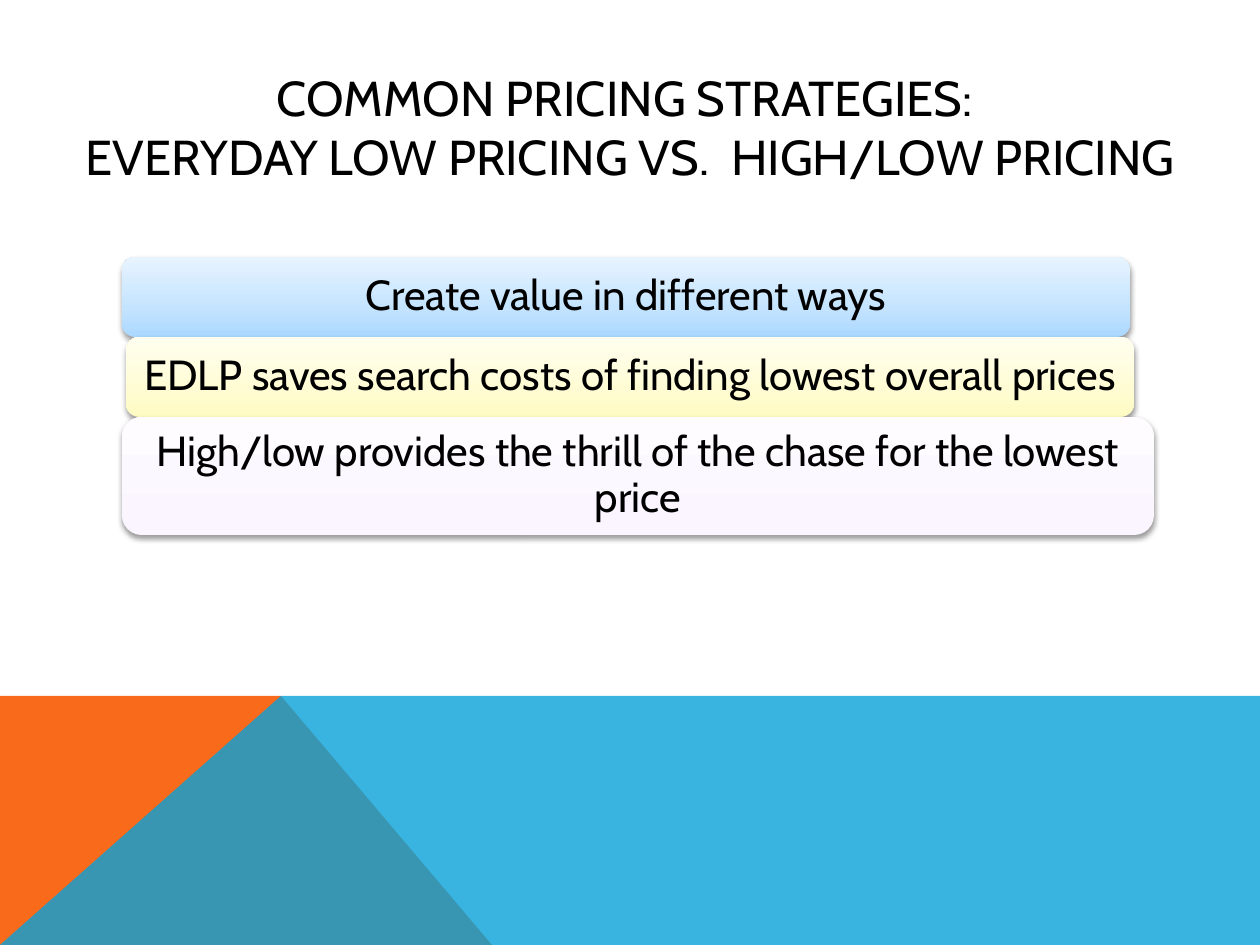
from dataclasses import dataclass

from lxml.etree import SubElement
from pptx import Presentation
from pptx.dml.color import RGBColor
from pptx.enum.shapes import MSO_SHAPE
from pptx.enum.text import MSO_ANCHOR, MSO_AUTO_SIZE, PP_ALIGN
from pptx.oxml import parse_xml
from pptx.oxml.ns import nsdecls, qn
from pptx.util import Emu, Pt

PX = 914400 / 126
SLIDE_WIDTH, SLIDE_HEIGHT = 1260, 945


@dataclass(frozen=True)
class Theme:
    font: str = "Cabin"
    title_size: int = 28
    point_size: int = 24
    ink: str = "000000"
    orange: str = "F96A1B"
    blue: str = "08A1D9"
    blue_opacity: int = 80
    # Gradient stops from the bottom of a bar to its top
    sky: tuple = ("ABD8FF", "C3E3FF", "E8F4FF")
    cream: tuple = ("FFFBC3", "FFFCD4", "FFFEEF")
    blush: tuple = ("FBF5FF", "FCF8FF", "FEFCFF")


THEME = Theme()

# text, left, width, height, gradient
POINTS = (
    ("Create value in different ways", 122, 1008, 80, THEME.sky),
    ("EDLP saves search costs of finding lowest overall prices",
     126, 1008, 80, THEME.cream),
    ("High/low provides the thrill of the chase for the lowest price",
     122, 1032, 118, THEME.blush),
)


def px(length):
    return Emu(round(length * PX))


def style_text(frame, size):
    frame.word_wrap = True
    frame.auto_size = MSO_AUTO_SIZE.NONE
    frame.vertical_anchor = MSO_ANCHOR.MIDDLE
    for paragraph in frame.paragraphs:
        paragraph.alignment = PP_ALIGN.CENTER
        for run in paragraph.runs:
            run.font.name = THEME.font
            run.font.size = Pt(size)
            run.font.color.rgb = RGBColor.from_string(THEME.ink)


def place_title(slide, left, top, width, height):
    title = slide.shapes.title
    title.left, title.top = px(left), px(top)
    title.width, title.height = px(width), px(height)
    # A vertical tab becomes a line break within the paragraph
    title.text_frame.text = (
        "COMMON PRICING STRATEGIES: \vEVERYDAY LOW PRICING VS.  HIGH/LOW PRICING"
    )
    style_text(title.text_frame, THEME.title_size)


def add_polygon(slide, points, color, opacity=100):
    builder = slide.shapes.build_freeform(*points[0], scale=PX)
    builder.add_line_segments(points[1:], close=True)
    polygon = builder.convert_to_shape()
    polygon.shadow.inherit = False
    polygon.line.fill.background()
    polygon.fill.solid()
    polygon.fill.fore_color.rgb = RGBColor.from_string(color)
    if opacity < 100:
        tone = polygon.fill._xPr.find(qn("a:solidFill"))[0]
        SubElement(tone, qn("a:alpha"), val=str(opacity * 1000))


def add_footer_band(slide, left, top, width, height):
    """Orange wedge under a translucent blue band that share one peak."""
    right, bottom = left + width, top + height
    peak = (left + 281, top)
    add_polygon(slide, [(left, bottom), (left, top), peak, (left + 492, bottom)],
                THEME.orange)
    add_polygon(slide, [(left, bottom), peak, (right, top), (right, bottom)],
                THEME.blue, THEME.blue_opacity)


def apply_gradient_and_shadow(shape, colors):
    shape.line.fill.background()
    stops = "".join(
        f'<a:gs pos="{position * 1000}"><a:srgbClr val="{color}"/></a:gs>'
        for position, color in zip((0, 35, 100), colors)
    )
    gradient = parse_xml(
        f'<a:gradFill {nsdecls("a")} rotWithShape="1"><a:gsLst>{stops}</a:gsLst>'
        '<a:lin ang="16200000" scaled="0"/></a:gradFill>'
    )
    shape.line._get_or_add_ln().addprevious(gradient)
    shape.shadow.inherit = False
    effects = shape._element.spPr.find(qn("a:effectLst"))
    effects.append(parse_xml(
        f'<a:outerShdw {nsdecls("a")} blurRad="{Pt(3.1)}" dist="{Pt(1.6)}" '
        'dir="5400000" rotWithShape="0"><a:srgbClr val="000000">'
        '<a:alpha val="38000"/></a:srgbClr></a:outerShdw>'
    ))


def add_point_bar(slide, text, left, top, width, height, colors):
    bar = slide.shapes.add_shape(
        MSO_SHAPE.ROUNDED_RECTANGLE, px(left), px(top), px(width), px(height)
    )
    apply_gradient_and_shadow(bar, colors)
    frame = bar.text_frame
    frame.text = text
    frame.margin_left = frame.margin_right = px(13)
    frame.margin_top = frame.margin_bottom = px(13)
    frame.paragraphs[0].line_spacing = 0.9
    style_text(frame, THEME.point_size)


def add_point_stack(slide, top):
    for text, left, width, height, colors in POINTS:
        add_point_bar(slide, text, left, top, width, height, colors)
        top += height


def main():
    presentation = Presentation()
    presentation.slide_width = px(SLIDE_WIDTH)
    presentation.slide_height = px(SLIDE_HEIGHT)
    slide = presentation.slides.add_slide(presentation.slide_layouts[5])
    add_footer_band(slide, 0, 696, SLIDE_WIDTH, SLIDE_HEIGHT - 696)
    place_title(slide, 0, 42, SLIDE_WIDTH, 168)
    add_point_stack(slide, 257)
    presentation.save("out.pptx")


if __name__ == "__main__":
    main()
